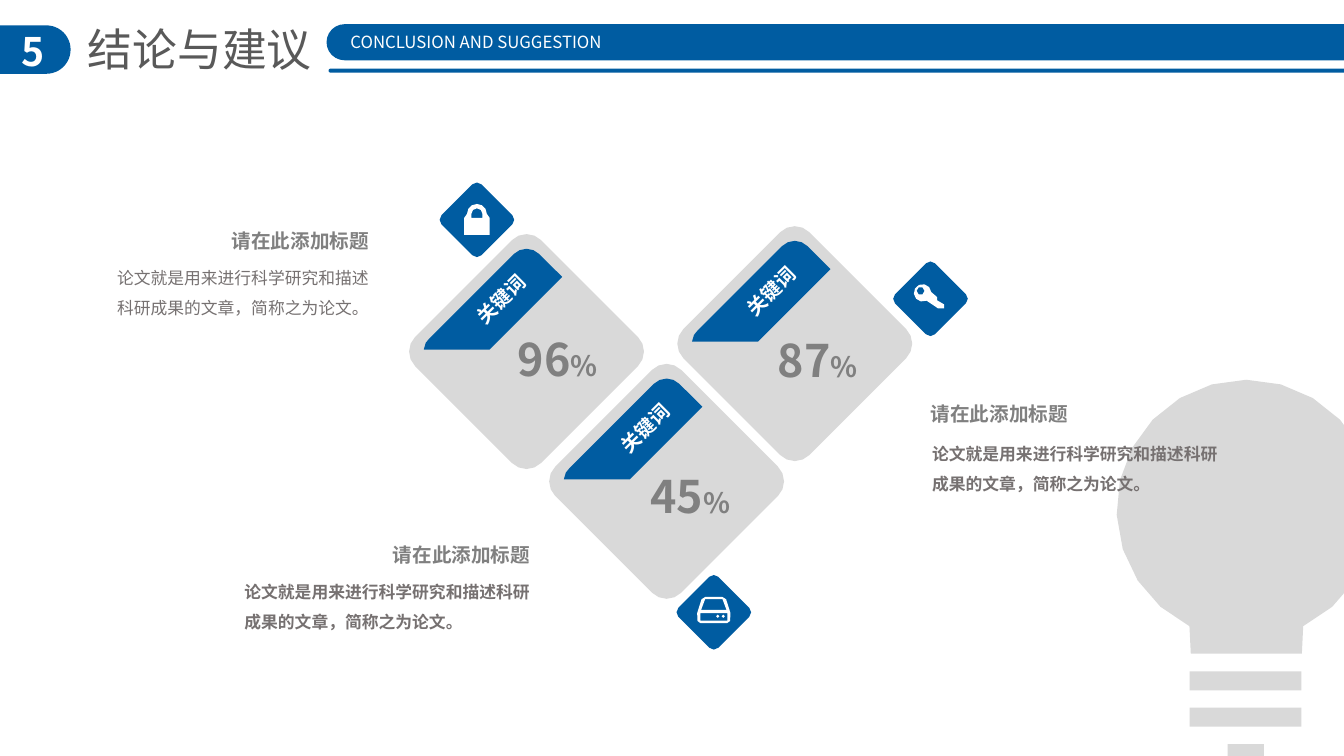
from math import cos, radians, sin

from lxml import etree
from pptx import Presentation
from pptx.dml.color import RGBColor
from pptx.enum.shapes import MSO_SHAPE
from pptx.enum.text import PP_ALIGN
from pptx.oxml.ns import qn
from pptx.util import Cm, Pt

RECTANGLE, ROUNDED = MSO_SHAPE.RECTANGLE, MSO_SHAPE.ROUNDED_RECTANGLE
LEFT, CENTER = PP_ALIGN.LEFT, PP_ALIGN.CENTER
FONT = "Noto Sans CJK SC"
COLORS = {"blue": "005CA1", "pale": "D9D9D9", "white": "FFFFFF",
          "title": "595959", "heading": "808080", "body": "767171"}
HEADING = "请在此添加标题"
BODY = "论文就是用来进行科学研究和描述科研成果的文章，简称之为论文。"
LINE_RATIO = 1.21  # line height relative to the font size


def rgb(color):
    return RGBColor.from_string(COLORS[color])


def paint(shape, color):
    shape.fill.solid()
    shape.fill.fore_color.rgb = rgb(color)
    shape.line.fill.background()
    shape.shadow.inherit = False


def add_bar(slide, left, top, width, height, color, kind=RECTANGLE):
    bar = slide.shapes.add_shape(kind, Cm(left), Cm(top), Cm(width), Cm(height))
    if kind == ROUNDED:
        bar.adjustments[0] = 0.5
    paint(bar, color)


def add_text(slide, box, runs, color, bold=False, align=LEFT, wrap=False,
             line_height=None, rotation=0):
    """Write one paragraph; runs is a list of (text, size)."""
    label = slide.shapes.add_textbox(*(Cm(length) for length in box))
    label.rotation = rotation
    label.text_frame.word_wrap = wrap
    paragraph = label.text_frame.paragraphs[0]
    paragraph.alignment = align
    main_size = runs[0][1]
    paragraph.line_spacing = Pt(line_height or main_size * LINE_RATIO)
    font = paragraph.font
    font.name, font.size, font.bold = FONT, Pt(main_size), bold
    font.color.rgb = rgb(color)
    defaults = paragraph._p.pPr.find(qn("a:defRPr"))
    etree.SubElement(defaults, qn("a:ea"), typeface=FONT)
    for text, size in runs:
        run = paragraph.add_run()
        run.text = text
        if size != main_size:
            run.font.size = Pt(size)


# Outlines, as lists of points in centimetres
def arc(x, y, radius, start, end, steps):
    angles = [radians(start + (end - start) * i / steps) for i in range(steps + 1)]
    return [(x + radius * cos(a), y + radius * sin(a)) for a in angles]


def circle(x, y, radius, steps):
    return arc(x, y, radius, 0, 360, steps)[:-1]


def mirrored(right_half):
    return right_half + [(-x, y) for x, y in reversed(right_half)]


def rounded_diamond(half, radius, steps):
    reach = half - radius
    return [point for turn in (0, 90, 180, 270)
            for point in arc(reach * cos(radians(turn)), reach * sin(radians(turn)),
                             radius, turn - 45, turn + 45, steps)]


def add_outline(slide, center, contours, color):
    """Draw contours around a centre; inner contours become holes."""
    builder = None
    for contour in contours:
        points = [(Cm(center[0] + x), Cm(center[1] + y)) for x, y in contour]
        if builder is None:
            builder = slide.shapes.build_freeform(*points[0], scale=1.0)
        else:
            builder.move_to(*points[0])
        builder.add_line_segments(points[1:], close=True)
    paint(builder.convert_to_shape(), color)


CARD = rounded_diamond(2.96, 0.52, 4)
BADGE = rounded_diamond(0.94, 0.16, 2)
RIBBON = arc(0, -2.14, 0.45, -45, -135, 4) + [
    (-2.45, -0.33), (-2.54, -0.22), (-2.59, -0.05), (-0.93, -0.05), (0.9, -1.88)]
LOCK = [
    [(0.32, -0.05), (0.32, 0.38), (-0.32, 0.38), (-0.32, -0.05)]
    + arc(0, -0.15, 0.25, 180, 360, 6),
    arc(0, -0.15, 0.14, 180, 360, 4) + [(0.14, -0.05), (-0.14, -0.05)]]
KEY = [
    arc(-0.2, -0.15, 0.22, 65, 355, 8) + [
        (0.17, -0.04), (0.17, 0.04), (0.34, 0.14), (0.34, 0.24), (0.19, 0.24),
        (-0.11, 0.04)],
    circle(-0.25, -0.2, 0.1, 6)]
DRIVE = [
    mirrored([(0.21, -0.39), (0.31, -0.33), (0.42, 0.02), (0.41, 0.22), (0.34, 0.27)]),
    mirrored([(0.34, 0.02), (0.34, 0.21)]),
    mirrored([(0.22, -0.33), (0.32, -0.06)]),
    circle(0.1, 0.1, 0.04, 4), circle(0.24, 0.1, 0.04, 4)]


def add_bulb(slide):
    add_bar(slide, 30.94, 18.75, 0.91, 0.48, "pale")
    for top in (16.92, 17.83):
        add_bar(slide, 29.98, top, 2.82, 0.48, "pale")
    glass = arc(0, 0, 3.27, 116, 424, 20) + [(1.4, 3.63), (-1.4, 3.63)]
    add_outline(slide, (31.41, 12.84), [glass], "pale")


def add_header(slide):
    add_bar(slide, -0.71, 0.64, 2.49, 1.22, "blue", ROUNDED)
    add_text(slide, (0.18, 0.56, 1.3, 1.45), [("5", 28)], "white", True, CENTER, True)
    add_text(slide, (1.96, 0.41, 6.22, 1.63), [("结论与建议", 32)], "title")
    add_bar(slide, 8.23, 0.61, 28.02, 0.91, "blue", ROUNDED)
    add_bar(slide, 8.28, 1.73, 28.02, 0.1, "blue", ROUNDED)
    add_text(slide, (8.33, 0.66, 7.34, 0.76), [("CONCLUSION AND SUGGESTION", 12)],
             "white", align=CENTER)


def add_card(slide, center, value, label_corner, value_corner):
    add_outline(slide, center, [CARD], "pale")
    add_outline(slide, center, [RIBBON], "blue")
    add_text(slide, (*label_corner, 2, 0.86), [("关键词", 14)], "white", True,
             rotation=315.2)
    add_text(slide, (*value_corner, 2.59, 1.63), [(value, 32), ("%", 20)],
             "heading", True)


def add_badge(slide, center, icon):
    add_outline(slide, center, [BADGE], "blue")
    add_outline(slide, center, icon, "white")


def add_note(slide, heading_corner, body_box, body_bold):
    add_text(slide, (*heading_corner, 4.01, 0.86), [(HEADING, 14)], "heading", True)
    add_text(slide, body_box, [(BODY, 12)], "body", body_bold, wrap=True,
             line_height=21.5)


def main():
    presentation = Presentation()
    presentation.slide_width, presentation.slide_height = Cm(33.87), Cm(19.05)
    slide = presentation.slides.add_slide(presentation.slide_layouts[6])

    add_bulb(slide)
    add_header(slide)

    # Percentage cards
    add_card(slide, (13.27, 8.86), "96", (11.63, 7.11), (12.8, 8.23))
    add_card(slide, (16.8, 12.13), "45", (15.26, 10.36), (16.14, 11.68))
    add_card(slide, (20.03, 8.66), "87", (18.44, 6.91), (19.35, 8.26))

    # Icon badges
    add_badge(slide, (12.02, 5.54), LOCK)
    add_badge(slide, (23.45, 7.53), KEY)
    add_badge(slide, (17.99, 15.43), DRIVE)

    # Explanations
    add_note(slide, (5.59, 5.64), (2.7, 6.37, 7.11, 1.8), False)
    add_note(slide, (9.65, 13.56), (5.91, 14.28, 7.95, 1.7), True)
    add_note(slide, (23.2, 10.01), (23.24, 10.8, 7.95, 1.7), True)

    presentation.save("out.pptx")


if __name__ == "__main__":
    main()
